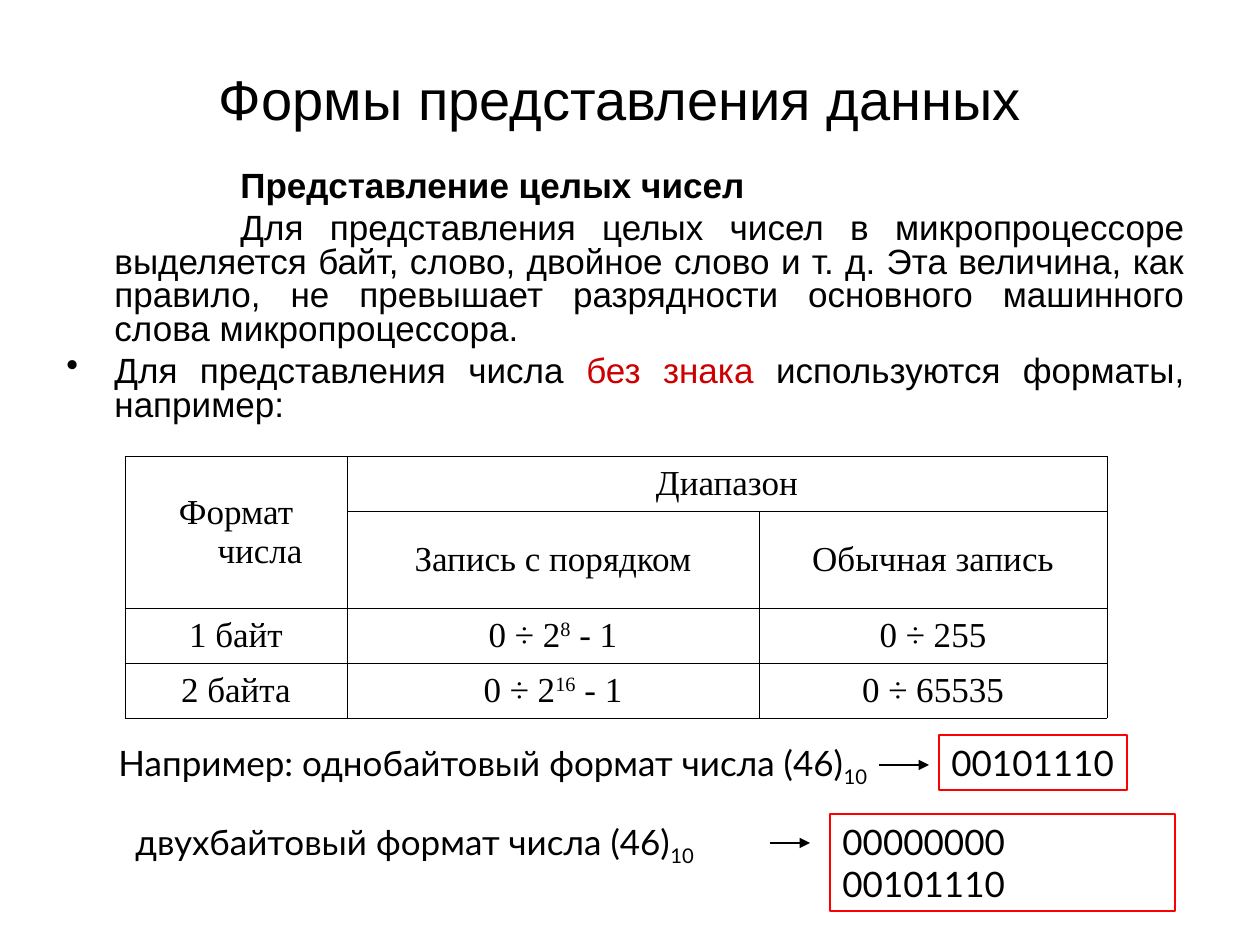
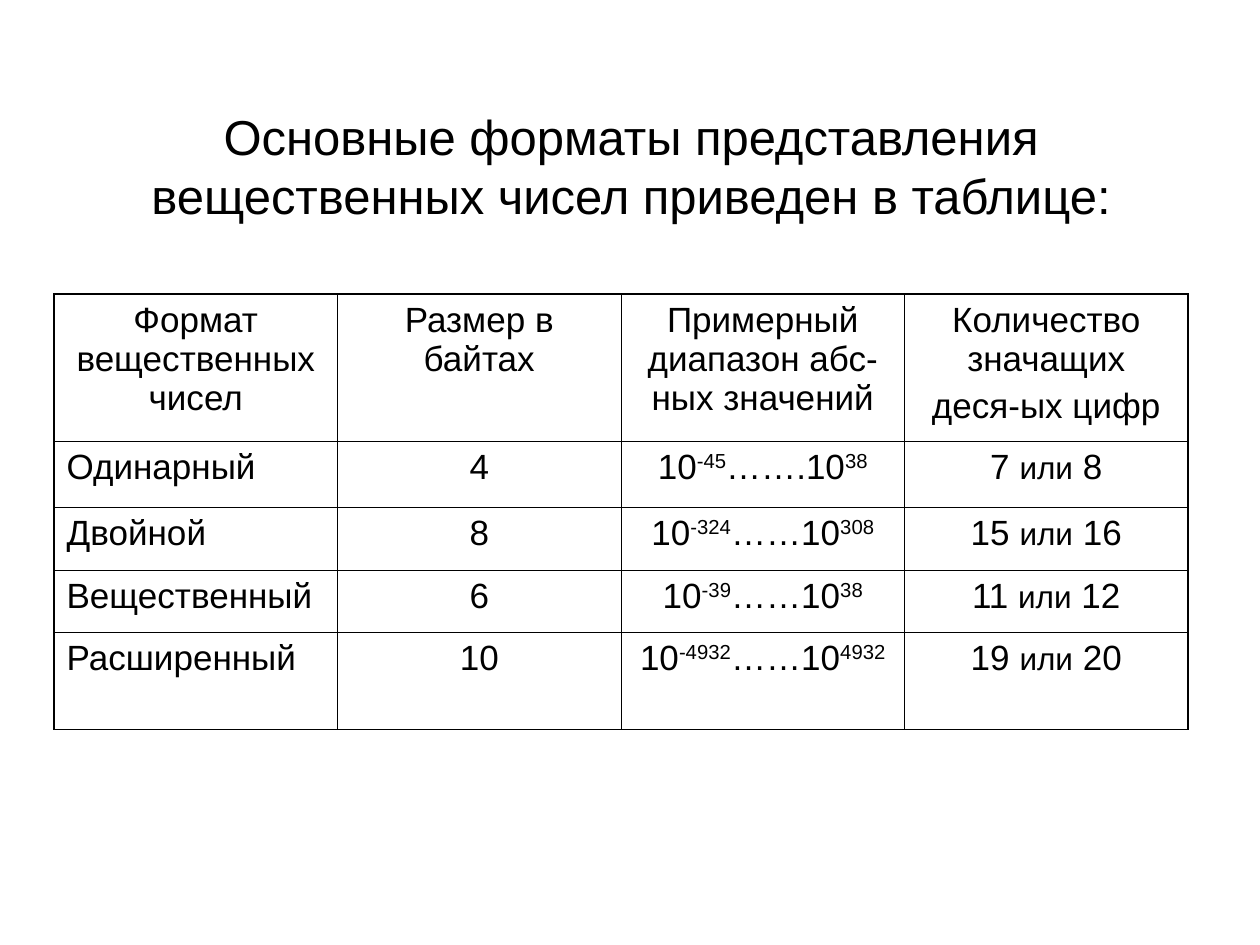
from lxml.etree import SubElement
from pptx import Presentation
from pptx.dml.color import RGBColor
from pptx.enum.shapes import MSO_CONNECTOR, MSO_SHAPE
from pptx.enum.text import MSO_ANCHOR, PP_ALIGN
from pptx.oxml.ns import qn
from pptx.util import Emu, Pt

HUES = {"ink": "000000", "note": "CC0000", "frame": "FF0000"}
SIDE = {"l": PP_ALIGN.LEFT, "c": PP_ALIGN.CENTER, "j": PP_ALIGN.JUSTIFY}
THIN, THICK = 0.45, 1.08
HANG = 48


def px(n):
    return Emu(round(n * 914400 / 126))


def sup(text):
    return text, {"base": 30}


def sub(text):
    return text, {"base": -25}


def span(low, dots, high):
    return [["10", sup(low), dots + "10", sup(high)]]


def digits(low, high):
    return [[f"{low} ", ("или", {"size": 18}), f" {high}"]]


# Content: a text is a string or a list of paragraphs, each a list of runs
TITLES = [
    {"text": [["Формы представления данных", (" ", {"size": 44})]],
     "box": (64, 26, 1134, 127), "size": 32},
    {"text": "Основные форматы представления вещественных чисел приведен в таблице:",
     "box": (64, 86, 1134, 158), "size": 28},
]

BODY = [
    ([("Представление целых чисел", {"bold": True})], {"first": 126}),
    (["Для представления целых чисел в микропроцессоре выделяется байт, слово, "
      "двойное слово и т. д. Эта величина, как правило, не превышает разрядности "
      "основного машинного слова микропроцессора."], {"first": 126}),
    (["Для представления числа ", ("без знака", {"color": "note"}),
      " используются форматы, например:"], {"first": -HANG, "bullet": "•"}),
]

RANGES = [
    ["Формат числа", "Диапазон", None],
    [None, "Запись с порядком", "Обычная запись"],
    ["1 байт", [["0 ÷ 2", sup("8"), " - 1"]], "0 ÷ 255"],
    ["2 байта", [["0 ÷ 2", sup("16"), " - 1"]], "0 ÷ 65535"],
]

REALS = [
    ["Формат вещественных чисел", "Размер в байтах",
     "Примерный диапазон абс-ных значений",
     [["Количество значащих"], ["деся-ых цифр"]]],
    ["Одинарный", "4", span("-45", "…….", "38"), digits(7, 8)],
    ["Двойной", "8", span("-324", "……", "308"), digits(15, 16)],
    ["Вещественный", "6", span("-39", "……", "38"), digits(11, 12)],
    ["Расширенный", "10", span("-4932", "……", "4932"), digits(19, 20)],
]

SAMPLES = [
    {"label": "Например: однобайтовый формат числа (46)", "at": (106, 735, 784, 60),
     "arrow": (879, 929, 765), "code": "00101110", "box": (939, 735, 188, 55)},
    {"label": "двухбайтовый формат числа (46)", "at": (123, 814, 626, 60),
     "arrow": (770, 810, 843), "code": "00000000 00101110", "box": (830, 814, 345, 97)},
]


def write(frame, text, font="Arial", size=20, side="l", left=0, first=0,
          lead=None, gap=0, bullet=None, **look):
    """Fill a text frame; paragraphs and runs may override the format."""
    frame.word_wrap = True
    for i, part in enumerate([[text]] if isinstance(text, str) else text):
        runs, own = part if isinstance(part, tuple) else (part, {})
        para = frame.paragraphs[0] if i == 0 else frame.add_paragraph()
        props = para._p.get_or_add_pPr()
        props.set("marL", str(px(left)))
        props.set("indent", str(px(own.get("first", first))))
        mark = own.get("bullet", bullet)
        if mark:
            SubElement(props, qn("a:buChar")).set("char", mark)
        else:
            SubElement(props, qn("a:buNone"))
        para.alignment = SIDE[side]
        if lead:
            para.line_spacing = lead
        if gap and i:
            para.space_before = Pt(gap)
        for piece in runs:
            words, extra = (piece, {}) if isinstance(piece, str) else piece
            form = {"size": size, "color": "ink", **look, **extra}
            run = para.add_run()
            run.text = words
            run.font.name = font
            run.font.size = Pt(form["size"])
            run.font.bold = form.get("bold", False)
            run.font.color.rgb = RGBColor.from_string(HUES[form["color"]])
            if "base" in form:
                run.font._element.set("baseline", str(form["base"] * 1000))


def label(slide, text, box, anchor=MSO_ANCHOR.TOP, **form):
    frame = slide.shapes.add_textbox(*map(px, box)).text_frame
    frame.vertical_anchor = anchor
    write(frame, text, **form)


def edge(cell, name, width):
    line = SubElement(cell._tc.get_or_add_tcPr(), qn("a:" + name), w=str(Pt(width)))
    fill = SubElement(line, qn("a:solidFill"))
    SubElement(fill, qn("a:srgbClr")).set("val", HUES["ink"])


def grid(slide, data, at, cols, rows, rim=THIN, anchor=MSO_ANCHOR.TOP,
         heads="c", merges=(), **form):
    size = (sum(cols), sum(rows))
    table = slide.shapes.add_table(len(rows), len(cols), *map(px, at + size)).table
    table.first_row = table.horz_banding = False
    for col, wide in zip(table.columns, cols):
        col.width = px(wide)
    for row, high in zip(table.rows, rows):
        row.height = px(high)
    for start, end in merges:
        table.cell(*start).merge(table.cell(*end))
    for r, line in enumerate(data):
        for c, text in enumerate(line):
            cell = table.cell(r, c)
            outer = {"lnL": c == 0, "lnR": c == len(cols) - 1,
                     "lnT": r == 0, "lnB": r == len(rows) - 1}
            for name, rims in outer.items():
                edge(cell, name, rim if rims else THIN)
            cell.fill.background()
            cell.vertical_anchor = anchor
            if text:
                side = heads if r and c == 0 else "c"
                write(cell.text_frame, text, side=side, **form)


def arrow(slide, start, end, y):
    line = slide.shapes.add_connector(
        MSO_CONNECTOR.STRAIGHT, px(start), px(y), px(end), px(y))
    line.line.color.rgb = RGBColor.from_string(HUES["ink"])
    line.line.width = Pt(0.75)
    SubElement(line.line._get_or_add_ln(), qn("a:tailEnd")).set("type", "triangle")
    SubElement(line._element.spPr, qn("a:effectLst"))


def frame(slide, text, box):
    shape = slide.shapes.add_shape(MSO_SHAPE.RECTANGLE, *map(px, box))
    shape.shadow.inherit = False
    shape.fill.background()
    shape.line.color.rgb = RGBColor.from_string(HUES["frame"])
    shape.line.width = Pt(0.75)
    shape.text_frame.vertical_anchor = MSO_ANCHOR.TOP
    write(shape.text_frame, text, font="Lato")


def main():
    deck = Presentation()
    deck.slide_width, deck.slide_height = px(1260), px(945)
    slides = []
    for head in TITLES:
        slide = deck.slides.add_slide(deck.slide_layouts[6])
        label(slide, head["text"], head["box"], MSO_ANCHOR.MIDDLE,
              size=head["size"], side="c")
        slides.append(slide)
    whole, real = slides

    # Whole numbers: text, ranges and two samples
    label(whole, BODY, (54, 165, 1143, 282), side="j", left=HANG, lead=0.8, gap=5)
    grid(whole, RANGES, (125, 456), (222, 412, 348), (55, 97, 55, 55),
         anchor=MSO_ANCHOR.MIDDLE, merges=[((0, 0), (1, 0)), ((0, 1), (0, 2))],
         font="Times New Roman", left=HANG, first=-HANG)
    for item in SAMPLES:
        label(whole, [[item["label"], sub("10")]], item["at"], font="Lato")
        arrow(whole, *item["arrow"])
        frame(whole, item["code"], item["box"])

    # Real numbers: table of formats
    cols = [1134 / 4] * 4
    grid(real, REALS, (54, 294), cols=tuple(cols), rows=(147, 66, 63, 62, 97),
         rim=THICK, heads="l", gap=5)

    deck.save("out.pptx")


if __name__ == "__main__":
    main()
